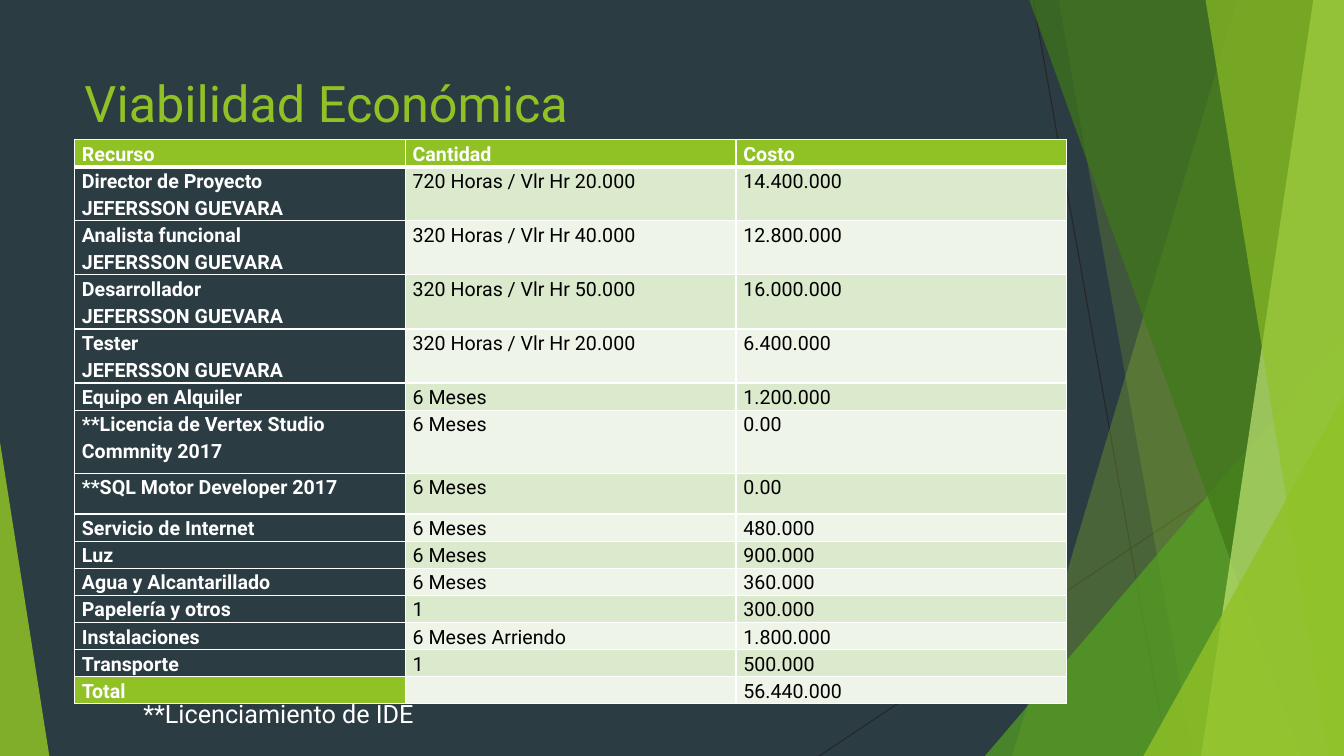
from lxml import etree
from pptx import Presentation
from pptx import util as u
from pptx.dml.color import RGBColor
from pptx.enum import shapes, text
from pptx.oxml.ns import qn

PX = 9525  # EMU per px, 96 px to the inch
W, H = 1280, 720
COLORS = {
    "bg": "2C3C43", "lime": "90C226", "green": "54A021", "forest": "3F7819",
    "pale": "C0E474", "line": "262626", "white": "FFFFFF", "black": "000000",
    "band1": "DBE9CD", "band2": "EEF4E8",
}


class Deck:
    font = "Roboto"

    def __init__(self):
        self.prs = Presentation()
        self.prs.slide_width, self.prs.slide_height = W * PX, H * PX
        self.s = self.prs.slides.add_slide(self.prs.slide_layouts[6])
        self.paint(self.s.background.fill, "bg")

    def paint(self, fill, color, alpha=100):
        fill.solid()
        fill.fore_color.rgb = RGBColor.from_string(COLORS[color])
        if alpha < 100:
            clr = fill._xPr.find(".//" + qn("a:srgbClr"))
            etree.SubElement(clr, qn("a:alpha")).set("val", str(alpha * 1000))

    def finish(self, sp, color, alpha):
        sp.shadow.inherit = False
        sp.line.fill.background()
        self.paint(sp.fill, color, alpha)

    def line(self, x1, y1, x2, y2):
        c = self.s.shapes.add_connector(
            shapes.MSO_CONNECTOR.STRAIGHT, *(v * PX for v in (x1, y1, x2, y2)))
        c.line.width = u.Pt(0.75)
        c.line.color.rgb = RGBColor.from_string(COLORS["line"])
        etree.SubElement(c._element.spPr, qn("a:effectLst"))

    def blade(self, top, bottom, color, alpha):
        """Slanted band that reaches the right edge of the slide."""
        fb = self.s.shapes.build_freeform(top, -1, scale=PX)
        fb.add_line_segments([(W, -1), (W, H), (bottom, H)], close=True)
        self.finish(fb.convert_to_shape(), color, alpha)

    def triangle(self, x, y, w, apex, color, alpha):
        """Right-angled triangle standing on the bottom edge."""
        sp = self.s.shapes.add_shape(
            shapes.MSO_SHAPE.ISOSCELES_TRIANGLE, x * PX, y * PX, w * PX, (H - y) * PX)
        sp.adjustments[0] = apex
        self.finish(sp, color, alpha)

    def style(self, p, size, color, bold=False):
        for r in p.runs:
            r.font.name, r.font.size, r.font.bold = self.font, u.Pt(size), bold
            r.font.color.rgb = RGBColor.from_string(COLORS[color])

    def text(self, x, y, w, h, words, size, color, wrap=True):
        tf = self.s.shapes.add_textbox(x * PX, y * PX, w * PX, h * PX).text_frame
        tf.word_wrap = wrap
        if not wrap:
            tf.auto_size = text.MSO_AUTO_SIZE.SHAPE_TO_FIT_TEXT
        tf.text = words
        self.style(tf.paragraphs[0], size, color)

    def border(self, cell, **widths):
        tcPr = cell._tc.get_or_add_tcPr()
        for i, side in enumerate("LRTB"):
            ln = etree.Element(qn("a:ln" + side), w=str(u.Pt(widths.get(side, 1))))
            fill = etree.SubElement(ln, qn("a:solidFill"))
            etree.SubElement(fill, qn("a:srgbClr"), val=COLORS["white"])
            tcPr.insert(i, ln)

    def cell(self, cell, words, fill, color, bold):
        cell.margin_left = cell.margin_right = 7 * PX
        cell.margin_top = cell.margin_bottom = 0
        cell.text_frame.text = words
        for p in cell.text_frame.paragraphs:
            p.line_spacing = 1.15
            self.style(p, 14, color, bold)
            if not words:
                p._p.get_or_add_endParaRPr().set("sz", "1400")
        if fill:
            self.paint(cell.fill, fill)
        else:
            cell.fill.background()

    def table(self, x, y, col_w, rows, heights):
        last = len(rows) - 1
        t = self.s.shapes.add_table(
            len(rows), len(rows[0]), x * PX, y * PX,
            col_w * len(rows[0]) * PX, sum(heights) * PX).table
        t.horz_banding = False
        for col in t.columns:
            col.width = col_w * PX
        for i, (row, h) in enumerate(zip(rows, heights)):
            t.rows[i].height = h * PX
            for j, words in enumerate(row):
                label = i == 0 or j == 0
                if i == 0 or (i == last and j == 0):
                    fill = "lime"
                elif j == 0:
                    fill = None
                else:
                    fill = "band1" if i % 2 else "band2"
                c = t.cell(i, j)
                self.cell(c, words, fill, "white" if label else "black", label)
                self.border(c, T=3 if i == 1 else 1, B=3 if i == 0 else 1)


PERSON = "JEFERSSON GUEVARA"
ROWS = [
    ("Recurso", "Cantidad", "Costo"),
    (f"Director de Proyecto\n{PERSON}", "720 Horas / Vlr Hr 20.000", "14.400.000"),
    (f"Analista funcional\n{PERSON}", "320 Horas / Vlr Hr 40.000", "12.800.000"),
    (f"Desarrollador\n{PERSON}", "320 Horas / Vlr Hr 50.000", "16.000.000"),
    (f"Tester\n{PERSON}", "320 Horas / Vlr Hr 20.000", "6.400.000"),
    ("Equipo en Alquiler", "6 Meses", "1.200.000"),
    ("**Licencia de Vertex Studio\nCommnity 2017", "6 Meses", "0.00"),
    ("**SQL Motor Developer 2017", "6 Meses", "0.00"),
    ("Servicio de Internet", "6 Meses", "480.000"),
    ("Luz", "6 Meses", "900.000"),
    ("Agua y Alcantarillado", "6 Meses", "360.000"),
    ("Papelería y otros", "1", "300.000"),
    ("Instalaciones", "6 Meses Arriendo", "1.800.000"),
    ("Transporte", "1", "500.000"),
    ("Total", "", "56.440.000"),
]
HEIGHTS = [25] + [50] * 4 + [25, 60, 39] + [25] * 7


def main():
    d = Deck()

    # Background facets
    d.line(984, 0, 1112, H)
    d.line(W, 387, 780, H)
    d.blade(1179, 964, "lime", 30)
    d.blade(1008, 1136, "lime", 20)
    d.triangle(938, 320, 342, 1, "green", 72)
    d.blade(980, 1239, "forest", 70)
    d.blade(1251, 1144, "pale", 70)
    d.blade(1148, 1265, "lime", 65)
    d.triangle(1089, 377, 191, 1, "lime", 80)
    d.triangle(0, 421, 47, 0, "lime", 85)

    # Title, cost table and footnote
    d.text(71, 64, 902, 138, "Viabilidad Económica", 36, "lime")
    d.table(71, 133, 315, ROWS, HEIGHTS)
    d.text(127, 660, 278, 38, "**Licenciamiento de IDE", 18, "white", wrap=False)

    d.prs.save("out.pptx")


if __name__ == "__main__":
    main()
